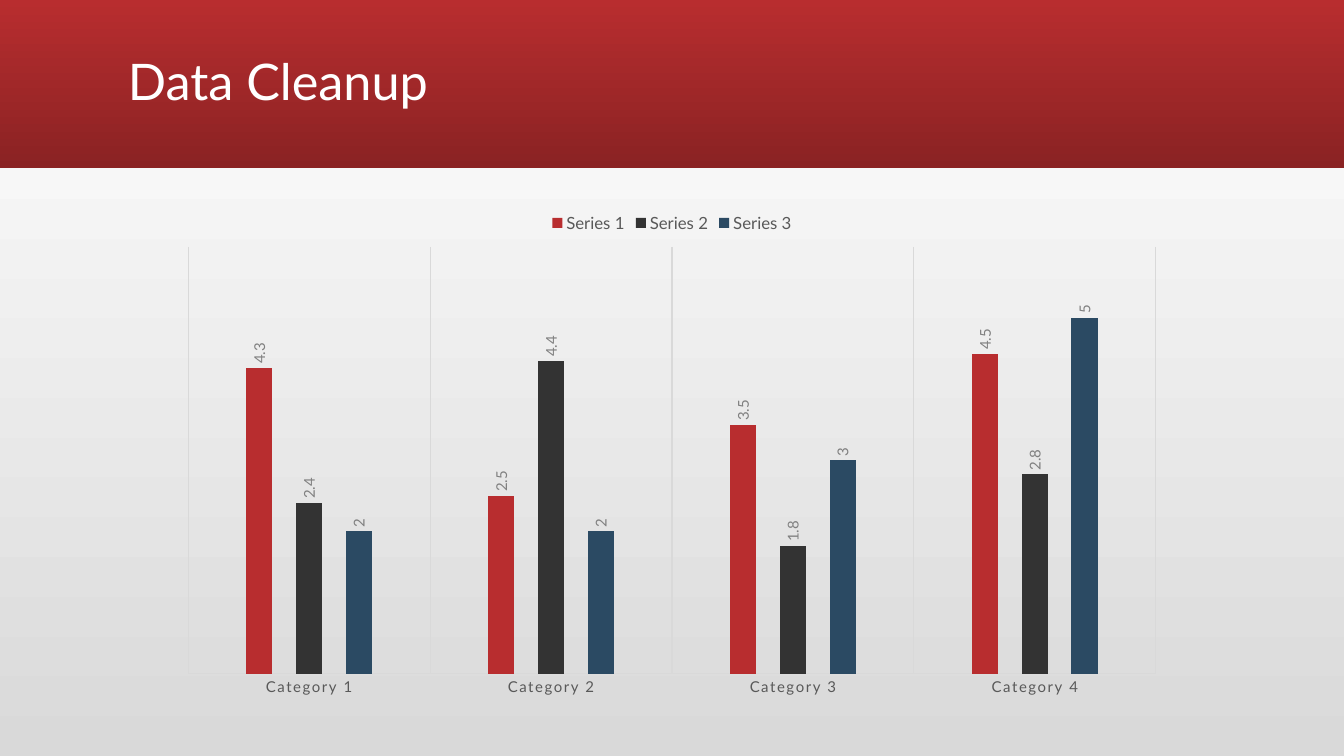
from dataclasses import dataclass

from pptx import Presentation
from pptx import util as u
from pptx.chart import data as chart_data
from pptx.dml.color import RGBColor
from pptx.enum import chart as charts, shapes, text

WIDTH, HEIGHT = u.Inches(13.33), u.Inches(7.5)


@dataclass(frozen=True)
class Theme:
    font: str = "Lato"
    title_size: float = 36
    legend_size: float = 11.97
    label_size: float = 10.64
    category_spacing: float = 1.2
    white: str = "FFFFFF"
    page_shade: str = "D9D9D9"
    grid: str = "D9D9D9"
    band_top: str = "B82D2F"
    band_bottom: str = "8A2223"
    axis_text: str = "595959"
    value_text: str = "808080"


@dataclass(frozen=True)
class Area:
    """Place and size as shares of the slide."""
    left: float
    top: float
    width: float
    height: float

    def lengths(self) -> tuple[int, int, int, int]:
        return (round(self.left * WIDTH), round(self.top * HEIGHT),
                round(self.width * WIDTH), round(self.height * HEIGHT))


@dataclass(frozen=True)
class Series:
    name: str
    values: tuple[float, ...]
    color: str


THEME = Theme()
BAND = Area(0, 0, 1, 1.67 / 7.5)
TITLE = Area(1.17 / 13.33, 0.11 / 7.5, 11 / 13.33, 1.45 / 7.5)
CHART = Area(1 / 8, 2 / 7.5, 3 / 4, 5 / 7.5)

CATEGORIES = [f"Category {number}" for number in range(1, 5)]
SERIES = (
    Series("Series 1", (4.3, 2.5, 3.5, 4.5), "B82D2F"),
    Series("Series 2", (2.4, 4.4, 1.8, 2.8), "333333"),
    Series("Series 3", (2, 2, 3, 5), "2B4A63"),
)


def rgb(color: str) -> RGBColor:
    return RGBColor.from_string(color)


def set_font(font, size: float, color: str) -> None:
    font.name, font.size = THEME.font, u.Pt(size)
    font.color.rgb = rgb(color)


def set_gradient(fill, start: str, end: str, angle: float) -> None:
    fill.gradient()
    fill.gradient_angle = angle
    for stop, color in zip(fill.gradient_stops, (start, end)):
        stop.color.rgb = rgb(color)


def set_line(line) -> None:
    line.color.rgb = rgb(THEME.grid)
    line.width = u.Pt(0.75)


def add_band(page) -> None:
    band = page.shapes.add_shape(shapes.MSO_SHAPE.RECTANGLE, *BAND.lengths())
    band.shadow.inherit = False
    band.line.fill.background()
    set_gradient(band.fill, THEME.band_top, THEME.band_bottom, 270)


def add_title(page, title: str) -> None:
    frame = page.shapes.add_textbox(*TITLE.lengths()).text_frame
    frame.word_wrap = True
    frame.vertical_anchor = text.MSO_ANCHOR.MIDDLE
    para = frame.paragraphs[0]
    para.text = title
    para.line_spacing = 0.9
    set_font(para.font, THEME.title_size, THEME.white)


def add_column_chart(page) -> None:
    data = chart_data.CategoryChartData()
    data.categories = CATEGORIES
    for item in SERIES:
        data.add_series(item.name, item.values)
    chart = page.shapes.add_chart(
        charts.XL_CHART_TYPE.COLUMN_CLUSTERED, *CHART.lengths(), data).chart
    chart.has_title = False
    set_font(chart.font, THEME.label_size, THEME.axis_text)

    # Legend
    chart.has_legend = True
    chart.legend.position = charts.XL_LEGEND_POSITION.TOP
    chart.legend.include_in_layout = False
    set_font(chart.legend.font, THEME.legend_size, THEME.axis_text)

    # Axes
    values = chart.value_axis
    values.minimum_scale, values.maximum_scale = 0, 6
    values.has_major_gridlines = False
    values.visible = False
    categories = chart.category_axis
    categories.major_tick_mark = charts.XL_TICK_MARK.NONE
    categories.has_major_gridlines = True
    set_line(categories.major_gridlines.format.line)
    set_line(categories.format.line)
    set_font(categories.tick_labels.font, THEME.label_size, THEME.axis_text)
    for letters in chart.element.xpath(".//c:catAx/c:txPr//a:defRPr"):
        letters.set("spc", str(round(THEME.category_spacing * 100)))

    # Columns and their values
    plot = chart.plots[0]
    plot.gap_width, plot.overlap = 444, -90
    plot.vary_by_categories = False
    for columns, item in zip(plot.series, SERIES):
        columns.format.fill.solid()
        columns.format.fill.fore_color.rgb = rgb(item.color)
        columns.invert_if_negative = False
        labels = columns.data_labels
        labels.show_value = True
        labels.position = charts.XL_LABEL_POSITION.OUTSIDE_END
        set_font(labels.font, THEME.label_size, THEME.value_text)
    for body in chart.element.xpath(".//c:dLbls/c:txPr/a:bodyPr"):
        body.set("rot", "-5400000")
        body.set("vert", "horz")


def main() -> None:
    deck = Presentation()
    deck.slide_width, deck.slide_height = WIDTH, HEIGHT
    page = deck.slides.add_slide(deck.slide_layouts[6])
    set_gradient(page.background.fill, THEME.page_shade, THEME.white, 90)
    add_band(page)
    add_title(page, "Data Cleanup")
    add_column_chart(page)
    deck.save("out.pptx")


if __name__ == "__main__":
    main()
